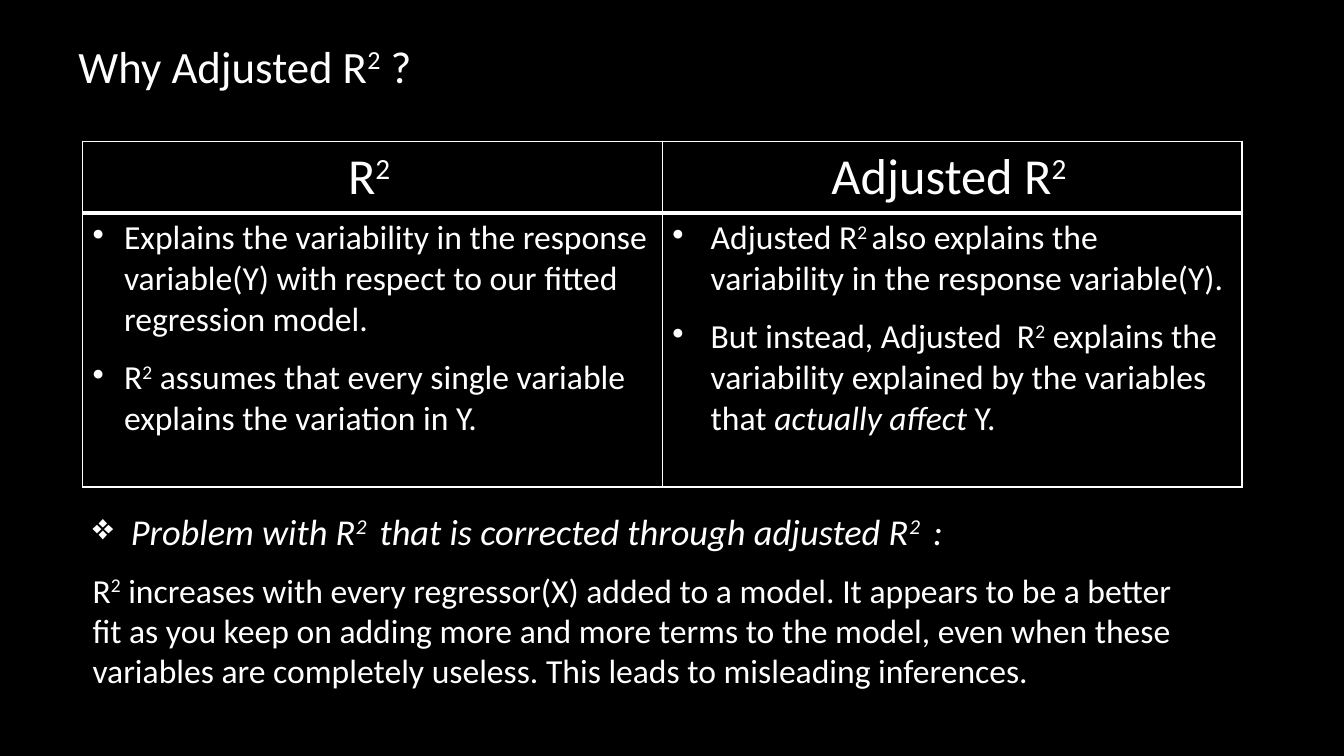
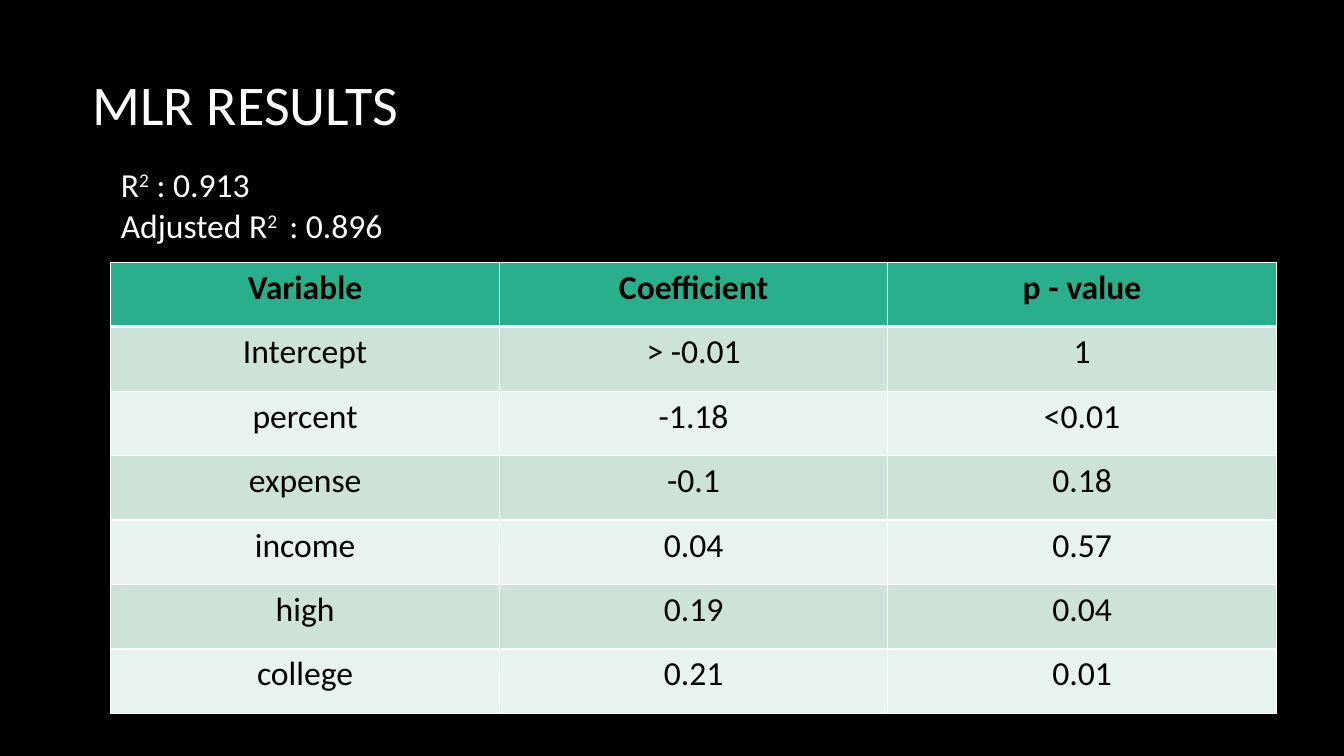
from lxml import etree
from pptx import Presentation
from pptx import util as u
from pptx.dml.color import RGBColor
from pptx.enum import text as t
from pptx.oxml import ns

BLACK = RGBColor(0x00, 0x00, 0x00)
WHITE = RGBColor(0xFF, 0xFF, 0xFF)
GREEN = RGBColor(0x29, 0xAF, 0x8C)
MINT = RGBColor(0xCD, 0xE3, 0xDA)
PALE = RGBColor(0xE8, 0xF2, 0xEE)
FONT = "Calibri"
BODY = 24
GAP = 12
DOT = "\u2022"
GEM = "\u2756"

deck = Presentation()
deck.slide_width = u.Inches(13.33)
deck.slide_height = u.Inches(7.5)


def wide(share):
    return round(deck.slide_width * share / 100)


def tall(share):
    return round(deck.slide_height * share / 100)


def place(box):
    left, top, width, height = box
    return wide(left), tall(top), wide(width), tall(height)


def node(owner, tag, **attrs):
    return etree.SubElement(owner, ns.qn(tag), attrs)


def write(para, line, size=BODY, color=WHITE, bold=False):
    for i, part in enumerate(line.split("_")):
        for j, piece in enumerate(part.split("^")):
            if not piece:
                continue
            run = para.add_run()
            run.text = piece
            font = run.font
            font.name, font.size = FONT, u.Pt(size)
            font.bold, font.italic = bold, i % 2 == 1
            font.color.rgb = color
            if j % 2:
                run._r.get_or_add_rPr().set("baseline", "30000")


def bullet(para, mark, share):
    props = para._p.get_or_add_pPr()
    props.set("marL", str(wide(share)))
    props.set("indent", str(-wide(share)))
    node(props, "a:buChar", char=mark)


def paras(frame, count):
    return [frame.paragraphs[0]] + [frame.add_paragraph() for _ in range(1, count)]


def label(slide, box, lines, sizes, gap=0):
    frame = slide.shapes.add_textbox(*place(box)).text_frame
    frame.word_wrap = True
    items = paras(frame, len(lines))
    for k, (para, line, size) in enumerate(zip(items, lines, sizes)):
        write(para, line, size)
        if k:
            para.space_before = u.Pt(gap)
    return items


def border(cell, row):
    props = cell._tc.get_or_add_tcPr()
    points = {"L": 1, "R": 1, "T": 3 if row == 1 else 1, "B": 3 if row == 0 else 1}
    for side, width in points.items():
        edge = node(props, "a:ln" + side, w=str(u.Pt(width)))
        node(node(edge, "a:solidFill"), "a:srgbClr", val=str(WHITE))


def grid(slide, box, shares, cols, fills):
    spot = place(box)
    table = slide.shapes.add_table(len(shares), cols, *spot).table
    for r, share in enumerate(shares):
        table.rows[r].height = round(spot[3] * share / sum(shares))
        for cell in table.rows[r].cells:
            border(cell, r)
            cell.fill.solid()
            cell.fill.fore_color.rgb = fills[r]
    return table


def center(cell, line, **style):
    para = cell.text_frame.paragraphs[0]
    para.alignment = t.PP_ALIGN.CENTER
    write(para, line, **style)


def page():
    slide = deck.slides.add_slide(deck.slide_layouts[6])
    slide.background.fill.solid()
    slide.background.fill.fore_color.rgb = BLACK
    return slide


def versus(slide, box, heads, points, indents):
    table = grid(slide, box, (0.7, 2.72), len(heads), (BLACK, BLACK))
    for c, (head, lines, indent) in enumerate(zip(heads, points, indents)):
        center(table.cell(0, c), head, size=36)
        for para, line in zip(paras(table.cell(1, c).text_frame, len(lines)), lines):
            para.space_before = u.Pt(GAP)
            bullet(para, DOT, indent)
            write(para, line)


def results(slide, box, rows):
    fills = [GREEN] + [MINT if r % 2 else PALE for r in range(1, len(rows))]
    table = grid(slide, box, [1] * len(rows), len(rows[0]), fills)
    for r, row in enumerate(rows):
        for c, value in enumerate(row):
            center(table.cell(r, c), value, color=BLACK, bold=r == 0)


def why():
    slide = page()
    versus(
        slide, (6.15, 18.67, 86.27, 45.6),
        ("R^2 ^", "Adjusted R^2 ^"),
        (
            ("Explains the variability in the response variable(Y) with respect "
             "to our fitted regression model.",
             "R^2^\u00a0assumes that every single variable explains the\u00a0variation in Y."),
            ("Adjusted R^2 ^also explains the variability in the response variable(Y).",
             "But instead, Adjusted  R^2^ explains the variability explained by "
             "the variables that _actually affect _Y."),
        ),
        (2.33, 2.85),
    )
    items = label(
        slide, (6.15, 66.67, 82.52, 25.6),
        ("_Problem with R^2 ^ that is corrected through adjusted R^2 ^ :_",
         "R^2^\u00a0increases with every regressor(X) added to a model. It appears "
         "to be a better fit as you keep on adding more and more terms to the model, "
         "even when these variables are completely useless. This leads to misleading "
         "inferences."),
        (26, BODY), GAP,
    )
    bullet(items[0], GEM, 2.85)
    label(slide, (5.1, 4.4, 31.28, 8.53), ["Why Adjusted R^2^ ?"], [32])


def model():
    slide = page()
    results(slide, (8.25, 34.67, 86.72, 59.73), (
        ("Variable", "Coefficient", "p - value"),
        ("Intercept", "> -0.01", "1"),
        ("percent", "-1.18", "<0.01"),
        ("expense", "-0.1", "0.18"),
        ("income", "0.04", "0.57"),
        ("high", "0.19", "0.04"),
        ("college", "0.21", "0.01"),
    ))
    label(slide, (8.25, 21.07, 34.28, 12.13),
          ("R^2^ : 0.913", "Adjusted R^2 ^ : 0.896"), (BODY, BODY))
    label(slide, (6.15, 8.53, 62.42, 10.27), ["MLR RESULTS"], [40])


why()
model()
deck.save("out.pptx")
